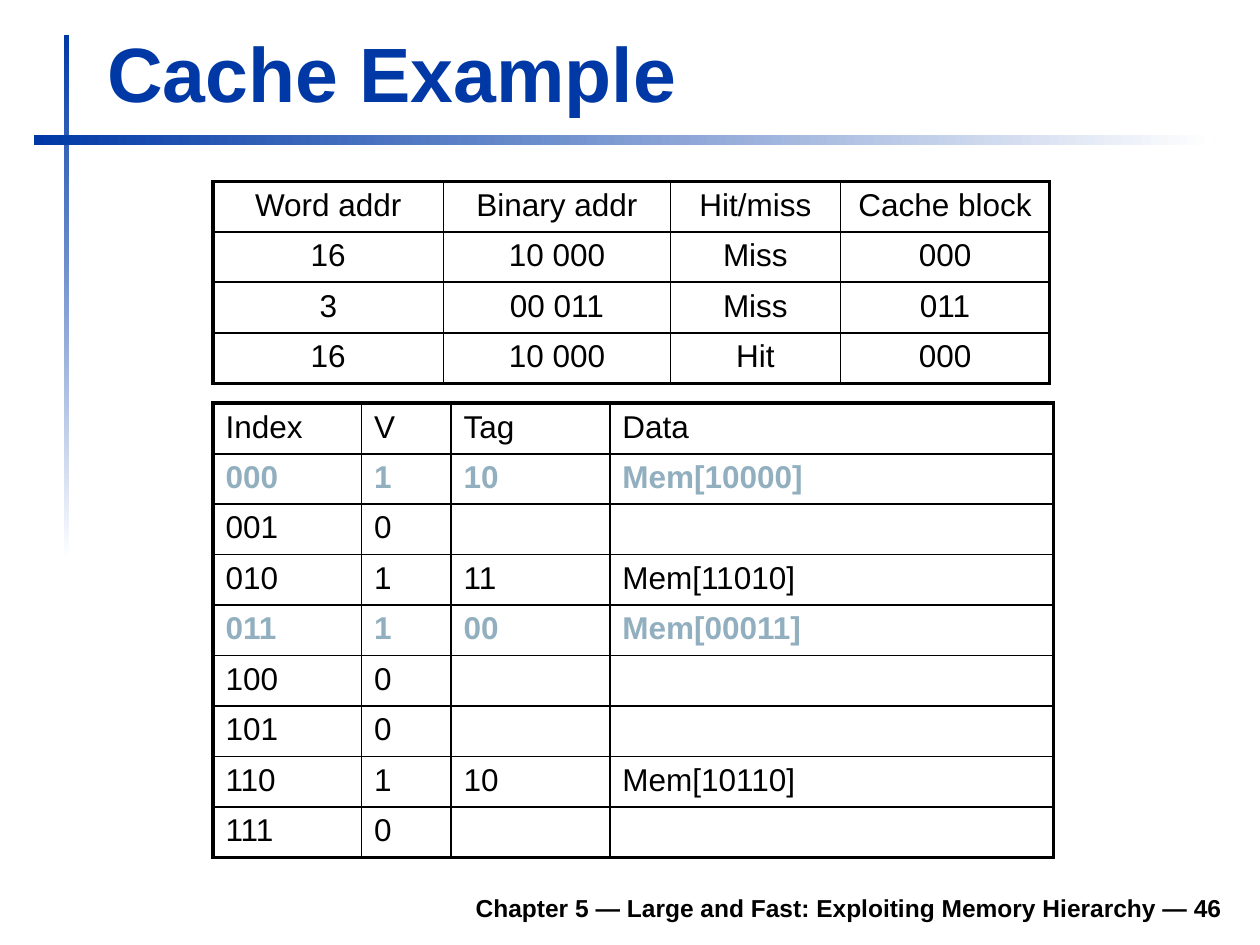
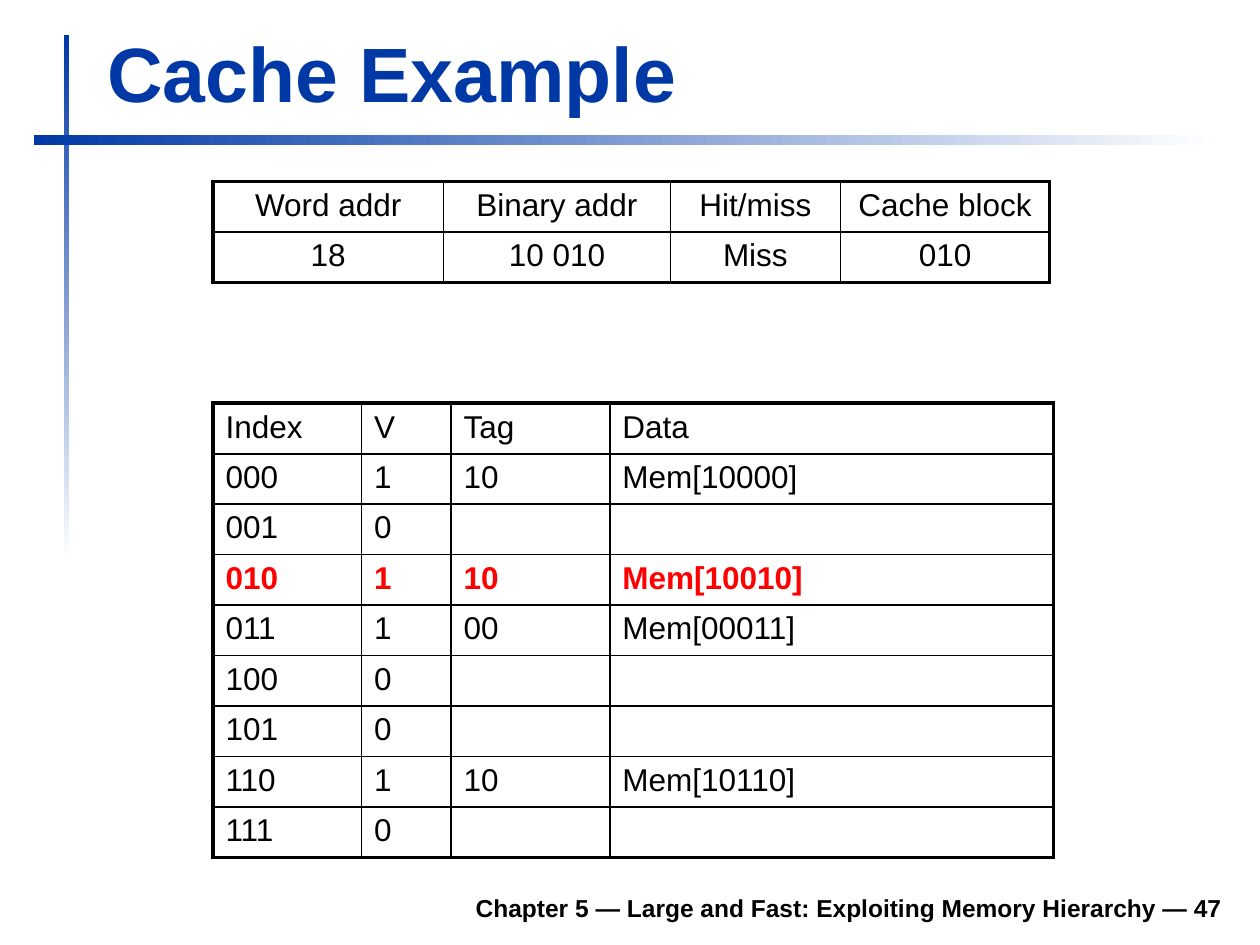
"""Build two slides that trace word accesses through a small direct-mapped cache."""

from dataclasses import dataclass

from lxml.etree import SubElement
from pptx import Presentation
from pptx.dml.color import RGBColor as Rgb
from pptx.enum.shapes import MSO_SHAPE as Shape
from pptx.enum.text import MSO_ANCHOR as Anchor, MSO_AUTO_SIZE as AutoSize, PP_ALIGN as Align
from pptx.oxml.ns import qn
from pptx.util import Inches, Pt


@dataclass(frozen=True)
class Theme:
    font: str = "Arial"
    blue: str = "0039A6"
    white: str = "FFFFFF"
    ink: str = "000000"
    earlier: str = "91AFBF"
    replaced: str = "FF0000"
    title_size: int = 44
    body_size: int = 18
    footer_size: int = 14
    outer_rule: float = 2.25
    header_rule: float = 1.5
    inner_rule: float = 1


THEME = Theme()
TABLE_LEFT, ROW_HEIGHT = 1.69, 0.4
ACCESS_HEADER = ("Word addr", "Binary addr", "Hit/miss", "Cache block")
ACCESS_WIDTHS = (1.83, 1.8, 1.35, 1.66)
CACHE_HEADER = ("Index", "V", "Tag", "Data")
CACHE_WIDTHS = (1.18, 0.71, 1.26, 3.52)


class Deck:
    """Hold the theme and current slide, and draw each kind of element."""

    def __init__(self, theme):
        self.theme = theme
        self.show = Presentation()
        self.show.slide_width, self.show.slide_height = Inches(10), Inches(7.5)
        self.slide = None

    def start_slide(self, title, footer):
        self.slide = self.show.slides.add_slide(self.show.slide_layouts[5])
        self.band((0.51, 0.28, 0.04, 4.17), 270)
        self.band((0.27, 1.07, 9.37, 0.08), 0)
        self.footer(footer)
        self.title(title)

    def apply(self, target, formats):
        for name, value in formats.items():
            setattr(target, name, value)

    def add_text(self, frame, text, size, color, bold=False, align=Align.LEFT):
        paragraph = frame.paragraphs[0]
        paragraph.alignment = align
        run = paragraph.add_run()
        run.text = text
        self.apply(run.font, {"name": self.theme.font, "size": Pt(size), "bold": bold})
        run.font.color.rgb = Rgb.from_string(color)

    def band(self, box, angle):
        band = self.slide.shapes.add_shape(Shape.RECTANGLE, *map(Inches, box))
        band.shadow.inherit = False
        band.line.fill.background()
        band.fill.gradient()
        band.fill.gradient_angle = angle
        for stop, color in zip(band.fill.gradient_stops, (self.theme.blue, self.theme.white)):
            stop.color.rgb = Rgb.from_string(color)

    def title(self, text):
        title = self.slide.shapes.title
        box = map(Inches, (0.75, 0.16, 9.03, 0.83))
        self.apply(title, dict(zip(("left", "top", "width", "height"), box)))
        self.apply(title.text_frame, {
            "vertical_anchor": Anchor.BOTTOM,
            "word_wrap": True,
            "auto_size": AutoSize.SHAPE_TO_FIT_TEXT,
        })
        self.add_text(title.text_frame, text, self.theme.title_size, self.theme.blue, True)

    def footer(self, text):
        footer = self.slide.shapes.add_textbox(*map(Inches, (1.85, 6.98, 7.95, 0.39)))
        self.apply(footer.text_frame, {"vertical_anchor": Anchor.BOTTOM, "word_wrap": True})
        self.add_text(footer.text_frame, text, self.theme.footer_size, self.theme.ink, True, Align.RIGHT)

    def borders(self, cell, widths):
        properties = cell._tc.get_or_add_tcPr()
        for side, width in zip("LRTB", widths):
            line = SubElement(properties, qn(f"a:ln{side}"), w=str(Pt(width)))
            fill = SubElement(line, qn("a:solidFill"))
            SubElement(fill, qn("a:srgbClr"), val=self.theme.ink)

    def table(self, top, widths, rows, row_rule, align, highlights=(), accent=None):
        theme = self.theme
        row_count, column_count = len(rows), len(widths)
        box = (TABLE_LEFT, top, sum(widths), ROW_HEIGHT * row_count)
        table = self.slide.shapes.add_table(row_count, column_count, *map(Inches, box)).table
        self.apply(table, {"first_row": False, "horz_banding": False})
        for column, width in zip(table.columns, widths):
            column.width = Inches(width)
        inner_columns = [theme.inner_rule] * (column_count - 1)
        inner_rows = [theme.header_rule] + [row_rule] * (row_count - 2)
        verticals = [theme.outer_rule, *inner_columns, theme.outer_rule]
        horizontals = [theme.outer_rule, *inner_rows, theme.outer_rule]
        for r, values in enumerate(rows):
            table.rows[r].height = Inches(ROW_HEIGHT)
            marked = values[0] in highlights
            color = accent if marked else theme.ink
            for c, value in enumerate(values):
                cell = table.cell(r, c)
                self.borders(cell, verticals[c:c + 2] + horizontals[r:r + 2])
                cell.fill.background()
                if value:
                    self.add_text(cell.text_frame, value, theme.body_size, color, marked, align)


def cache_rows(blocks):
    """List all eight cache entries, leaving invalid ones empty."""
    rows = [CACHE_HEADER]
    for number in range(8):
        index = f"{number:03b}"
        tag = blocks.get(index)
        rows.append((index, "1", tag, f"Mem[{tag}{index}]") if tag else (index, "0", "", ""))
    return rows


def main():
    """Draw each step of the example and save the deck."""
    steps = (
        (
            46,
            (("16", "10 000", "Miss", "000"), ("3", "00 011", "Miss", "011"), ("16", "10 000", "Hit", "000")),
            {"000": "10", "010": "11", "011": "00", "110": "10"},
            ("000", "011"),
            THEME.earlier,
        ),
        (
            47,
            (("18", "10 010", "Miss", "010"),),
            {"000": "10", "010": "10", "011": "00", "110": "10"},
            ("010",),
            THEME.replaced,
        ),
    )
    deck = Deck(THEME)
    for page, accesses, blocks, changed, accent in steps:
        deck.start_slide("Cache Example", f"Chapter 5 — Large and Fast: Exploiting Memory Hierarchy — {page}")
        deck.table(3.2, CACHE_WIDTHS, cache_rows(blocks), THEME.inner_rule, Align.LEFT, changed, accent)
        deck.table(1.44, ACCESS_WIDTHS, (ACCESS_HEADER, *accesses), THEME.header_rule, Align.CENTER)
    deck.show.save("out.pptx")


if __name__ == "__main__":
    main()
